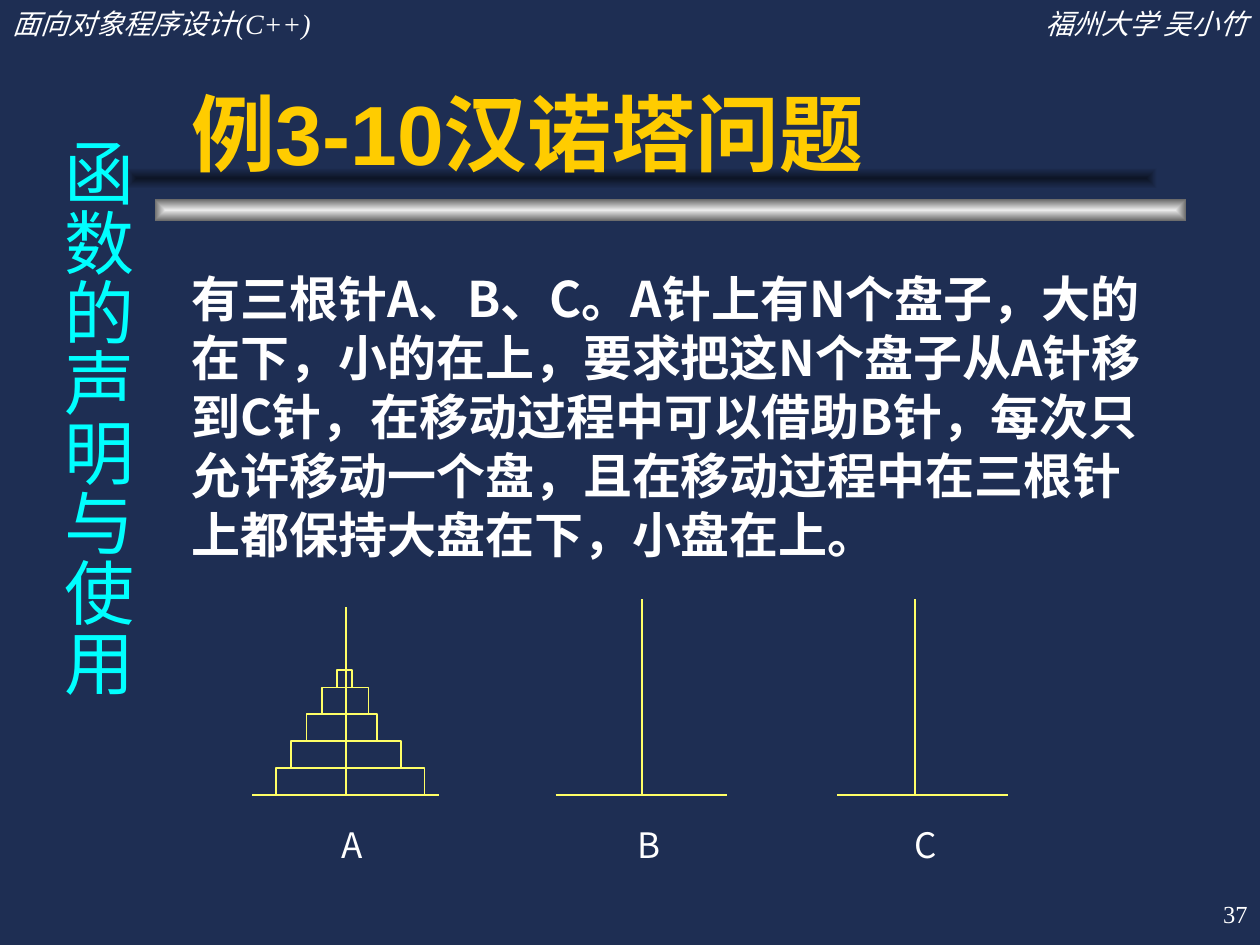
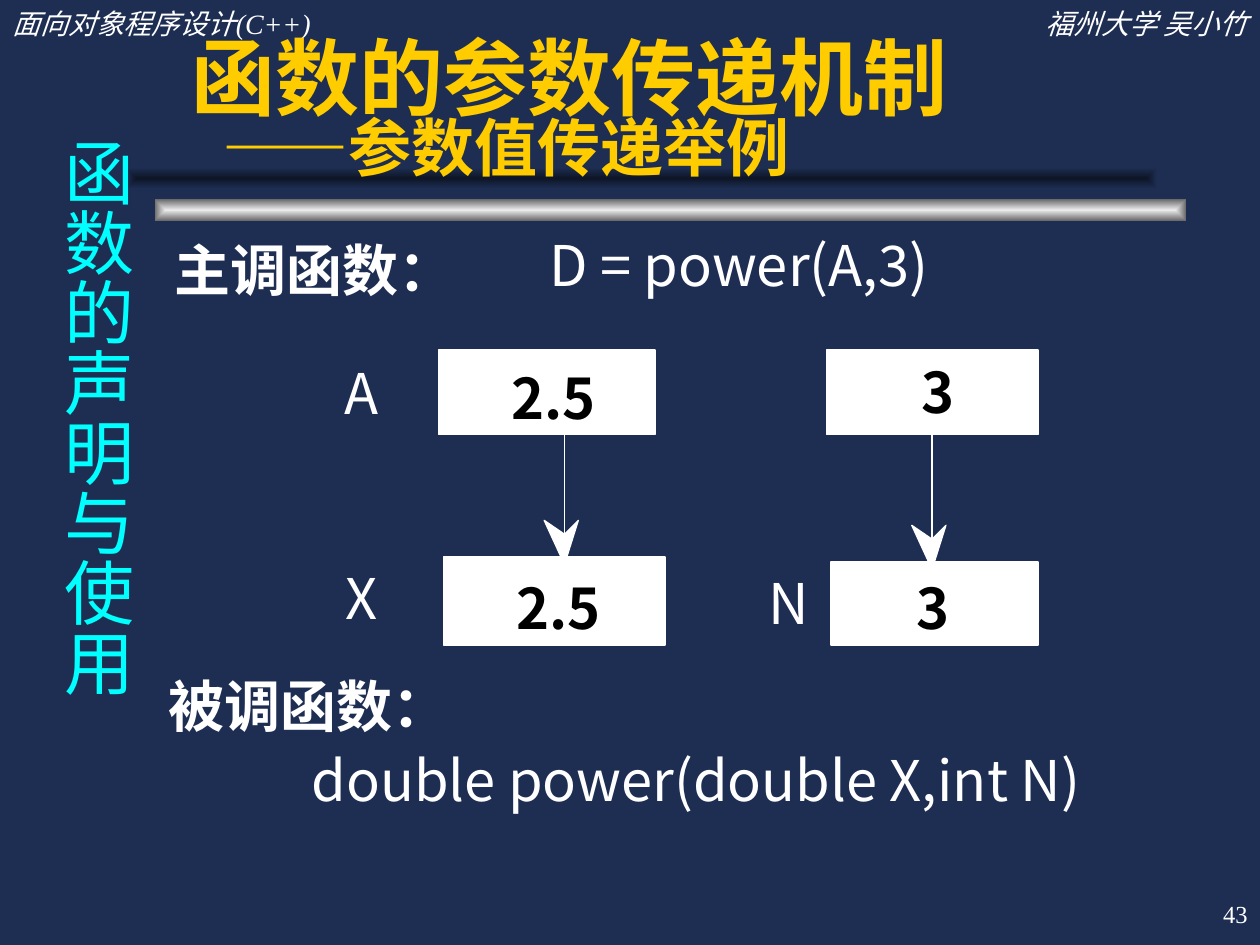
import pptx
import pptx.dml.color
import pptx.enum.shapes
import pptx.enum.text
import pptx.oxml
import pptx.oxml.ns
import pptx.util

Cm, Pt = pptx.util.Cm, pptx.util.Pt
RECT = pptx.enum.shapes.MSO_SHAPE.RECTANGLE
STRAIGHT = pptx.enum.shapes.MSO_CONNECTOR.STRAIGHT
ALIGN = pptx.enum.text.PP_ALIGN
ANCHOR = pptx.enum.text.MSO_ANCHOR
AUTO_SIZE = pptx.enum.text.MSO_AUTO_SIZE

COLORS = {
    "navy": "1E2E53", "shade": "0D1526", "silver": "EAEAEA", "grey": "6B6B6B",
    "gold": "FFCC00", "cyan": "00FFFF", "yellow": "FFFF66", "white": "FFFFFF",
    "black": "000000",
}
SANS, SERIF, HEAD = "Noto Sans CJK SC", "Times New Roman", "Arial"


def rgb(name):
    """Return the named colour."""
    return pptx.dml.color.RGBColor.from_string(COLORS[name])


def cm(*values):
    """Convert numbers to centimetre lengths."""
    return [Cm(v) for v in values]


def add_run(p, text, size, color="white", font=SANS, bold=False, italic=False):
    """Append a formatted run to a paragraph."""
    r = p.add_run()
    r.text = text
    r.font.size, r.font.name = Pt(size), font
    r.font.bold, r.font.italic = bold, italic
    r.font.color.rgb = rgb(color)
    ea = pptx.oxml.parse_xml(f'<a:ea {pptx.oxml.ns.nsdecls("a")} typeface="{SANS}"/>')
    r.font._element.find(pptx.oxml.ns.qn("a:latin")).addnext(ea)


def clear_margins(tf):
    """Remove the insets and the wrapping of a text frame."""
    tf.word_wrap = False
    tf.margin_left = tf.margin_right = tf.margin_top = tf.margin_bottom = 0


def add_label(shapes, box, text, size, align=ALIGN.LEFT, before=0, inset=True, **style):
    """Add a text box; without insets it does not wrap."""
    sp = shapes.add_textbox(*cm(*box))
    tf = sp.text_frame
    tf.word_wrap = True
    if not inset:
        clear_margins(tf)
    p = tf.paragraphs[0]
    p.alignment, p.space_before = align, Pt(before)
    add_run(p, text, size, **style)
    return sp


def add_box(shapes, box, line="white", fill=None):
    """Add a rectangle with a thin outline."""
    sp = shapes.add_shape(RECT, *cm(*box))
    sp.shadow.inherit = False
    sp.line.color.rgb, sp.line.width = rgb(line), Pt(1)
    if fill:
        sp.fill.solid()
        sp.fill.fore_color.rgb = rgb(fill)
    else:
        sp.fill.background()
    return sp


def add_line(shapes, x1, y1, x2, y2, color):
    """Add a thin straight line."""
    c = shapes.add_connector(STRAIGHT, *cm(x1, y1, x2, y2))
    c.line.color.rgb, c.line.width = rgb(color), Pt(1)
    c._element.spPr.append(
        pptx.oxml.parse_xml(f'<a:effectLst {pptx.oxml.ns.nsdecls("a")}/>'))
    return c


def add_band(shapes, box, inner, outer):
    """Add a bar shaded from its centre to its edges."""
    sp = shapes.add_shape(RECT, *cm(*box))
    sp.shadow.inherit = False
    sp.line.fill.background()
    stops = "".join(f'<a:gs pos="{pos}"><a:srgbClr val="{COLORS[name]}"/></a:gs>'
                    for pos, name in ((0, inner), (100000, outer)))
    grad = pptx.oxml.parse_xml(
        f'<a:gradFill {pptx.oxml.ns.nsdecls("a")} rotWithShape="1"><a:gsLst>{stops}</a:gsLst>'
        '<a:path path="rect"><a:fillToRect l="50000" t="50000" r="50000" b="50000"/>'
        '</a:path></a:gradFill>')
    sp._element.spPr.find(pptx.oxml.ns.qn("a:prstGeom")).addnext(grad)
    return sp


def dress_master(prs, s):
    """Put the background, bands and headers on the master, using s to build them."""
    master = prs.slide_master
    master.background.fill.solid()
    master.background.fill.fore_color.rgb = rgb("navy")
    header = dict(size=16, before=10, font=SERIF, italic=True)
    parts = [
        add_band(s.shapes, (3.12, 4.02, 20.79, 0.43), "silver", "grey"),
        add_band(s.shapes, (2.54, 3.38, 20.79, 0.43), "shade", "navy"),
        add_label(s.shapes, (0, 0, 7.82, 0.94), "面向对象程序设计(C++)", **header),
        add_label(s.shapes, (17.58, 0, 7.82, 0.94), "福州大学 吴小竹",
                  align=ALIGN.RIGHT, **header),
    ]
    for i, sp in enumerate(parts):
        master.shapes._spTree.insert(2 + i, sp._element)


def place(sp, box):
    """Move a placeholder to a box and return its text frame."""
    sp.left, sp.top, sp.width, sp.height = cm(*box)
    tf = sp.text_frame
    tf.word_wrap = True
    tf.auto_size = AUTO_SIZE.NONE
    return tf


def fill_title(s, lines, spacing=1.0):
    """Write title lines given as (text, size, indent, space before)."""
    tf = place(s.shapes.title, (3.61, 0.64, 19.89, 3.16))
    tf.vertical_anchor = ANCHOR.BOTTOM
    for i, (text, size, indent, before) in enumerate(lines):
        p = tf.add_paragraph() if i else tf.paragraphs[0]
        p.alignment, p.line_spacing, p.space_before = ALIGN.LEFT, spacing, Pt(before)
        p._p.get_or_add_pPr().set("marL", str(Cm(indent)))
        add_run(p, text, size, "gold", HEAD, bold=True)


def fill_body(s, text):
    """Write the body as one paragraph without a bullet."""
    tf = place(s.placeholders[1], (3.61, 5.29, 20.12, 11.43))
    p = tf.paragraphs[0]
    p.space_before = Pt(7)
    pPr = p._p.get_or_add_pPr()
    for name in ("marL", "indent", "hangingPunct"):
        pPr.set(name, "0")
    pPr.append(pptx.oxml.parse_xml(f'<a:buNone {pptx.oxml.ns.nsdecls("a")}/>'))
    add_run(p, text, 28, bold=True)


def add_margins(s, number):
    """Add the vertical chapter name and the page number."""
    sp = add_label(s.shapes, (0.76, 2.54, 2.18, 13.77), "函数的声明与使用", 40,
                   before=25, color="cyan", font=SERIF)
    tf = sp.text_frame
    tf.margin_left = tf.margin_right = Cm(0.13)
    tf.margin_top = tf.margin_bottom = Cm(0.25)
    tf.auto_size = AUTO_SIZE.SHAPE_TO_FIT_TEXT
    tf._txBody.bodyPr.set("vert", "eaVert")
    page = add_label(s.shapes, (20.12, 17.78, 5.28, 1.27), number, 14,
                     align=ALIGN.RIGHT, font=SERIF)
    page.text_frame.vertical_anchor = ANCHOR.MIDDLE


def draw_hanoi(s, x, y):
    """Draw three needles and the discs on the first one."""
    shapes = s.shapes.add_group_shape().shapes
    base = y + 3.95
    needles = (("A", 0, 3.76, 1.89, 0.17, 2.03), ("B", 6.12, 9.58, 7.86, 0, 8.0),
               ("C", 11.79, 15.24, 13.36, 0, 13.59))
    for name, left, right, peg, top, middle in needles:
        add_line(shapes, x + left, base, x + right, base, "yellow")
        add_line(shapes, x + peg, base, x + peg, y + top, "yellow")
        add_label(shapes, (x + middle - 0.94, base + 0.45, 1.88, 1.12), name, 20,
                  align=ALIGN.CENTER)
    discs = ((3.0, 0.54), (2.21, 0.54), (1.42, 0.54), (0.94, 0.54), (0.3, 0.36))
    disc_top = base
    for i, (w, h) in enumerate(discs):
        disc_top -= h
        add_box(shapes, (x + 0.48 + 0.31 * i, disc_top, w, h), "yellow")


def add_value(shapes, box, text, indent):
    """Add the outlined value that sits on a memory cell."""
    sp = add_box(shapes, box)
    sp.line.width = Pt(0.75)
    tf = sp.text_frame
    clear_margins(tf)
    tf.margin_left = Cm(indent)
    tf.vertical_anchor = ANCHOR.TOP
    p = tf.paragraphs[0]
    p.alignment = ALIGN.LEFT
    add_run(p, text, 32, "black", bold=True)


def add_arrow(shapes, x, top, tip):
    """Draw a downward arrow with a notched head and return its stem."""
    outline = ((x, tip), (x - 0.41, tip - 0.89), (x, tip - 0.61), (x + 0.28, tip - 0.89))
    points = [cm(*point) for point in outline]
    fb = shapes.build_freeform(*points[0])
    fb.add_line_segments(points[1:], close=True)
    head = fb.convert_to_shape()
    head.shadow.inherit = False
    head.fill.solid()
    head.fill.fore_color.rgb = head.line.color.rgb = rgb("white")
    head.line.width = Pt(0.75)
    return add_line(shapes, x, top, x, tip - 0.51, "white")


def draw_call(s, x, y):
    """Draw how the caller's values are copied into the parameters."""
    shapes = s.shapes.add_group_shape().shapes
    texts = (
        ("主调函数：", 0.11, 0.1, 5.66, True), ("D = power(A,3)", 7.67, 0, 7.77, False),
        ("A", 3.55, 2.57, 0.74, False), ("X", 3.56, 6.72, 0.66, False),
        ("N", 12.09, 6.82, 0.86, False), ("被调函数：", 0, 8.89, 5.66, True),
        ("double power(double X,int N)", 2.88, 10.38, 15.52, False),
    )
    for text, dx, dy, w, bold in texts:
        add_label(shapes, (x + dx, y + dy, w, 1.35), text, 32, inset=False, bold=bold)
    copies = (
        ("2.5", 0.25, 1.96, 7.98, ((5.44, 2.41, 4.36, 1.7), (6.66, 2.67)),
         ((5.54, 6.58, 4.47, 1.77), (6.76, 6.91))),
        ("3", 0, 0.66, 15.39, ((13.26, 2.41, 4.26, 1.7), (15.17, 2.56)),
         ((13.36, 6.68, 4.17, 1.67), (15.07, 6.91))),
    )
    for value, indent, value_w, stem_x, argument, parameter in copies:
        cells = []
        for (left, top, w, h), (dx, dy) in (argument, parameter):
            cells.append(add_box(shapes, (x + left, y + top, w, h), fill="white"))
            add_value(shapes, (x + dx, y + dy, value_w, 1.35), value, indent)
        left, top, w, h = argument[0]
        stem = add_arrow(shapes, x + stem_x, y + top + h, y + parameter[0][1] + 0.15)
        if abs(left + w / 2 - stem_x) < 0.01:
            stem.begin_connect(cells[0], 2)


def build_hanoi_slide(prs):
    """Build the Hanoi problem slide."""
    s = prs.slides.add_slide(prs.slide_layouts[1])
    dress_master(prs, s)
    fill_title(s, [("例3-10汉诺塔问题", 48, 0, 0)])
    fill_body(s, "有三根针A、B、C。A针上有N个盘子，大的在下，小的在上，要求把这N个盘子从"
                 "A针移到C针，在移动过程中可以借助B针，每次只允许移动一个盘，且在移动过程中"
                 "在三根针上都保持大盘在下，小盘在上。")
    draw_hanoi(s, 5.08, 12.07)
    add_margins(s, "37")


def build_call_slide(prs):
    """Build the pass-by-value slide."""
    s = prs.slides.add_slide(prs.slide_layouts[5])
    fill_title(s, [("函数的参数传递机制", 48, 0, 0), ("——参数值传递举例", 36, 0.62, 3)], 0.7)
    draw_call(s, 3.4, 4.65)
    add_margins(s, "43")


def main():
    """Build and save the presentation."""
    prs = pptx.Presentation()
    prs.slide_width, prs.slide_height = cm(25.4, 19.05)
    build_hanoi_slide(prs)
    build_call_slide(prs)
    prs.save("out.pptx")


if __name__ == "__main__":
    main()
